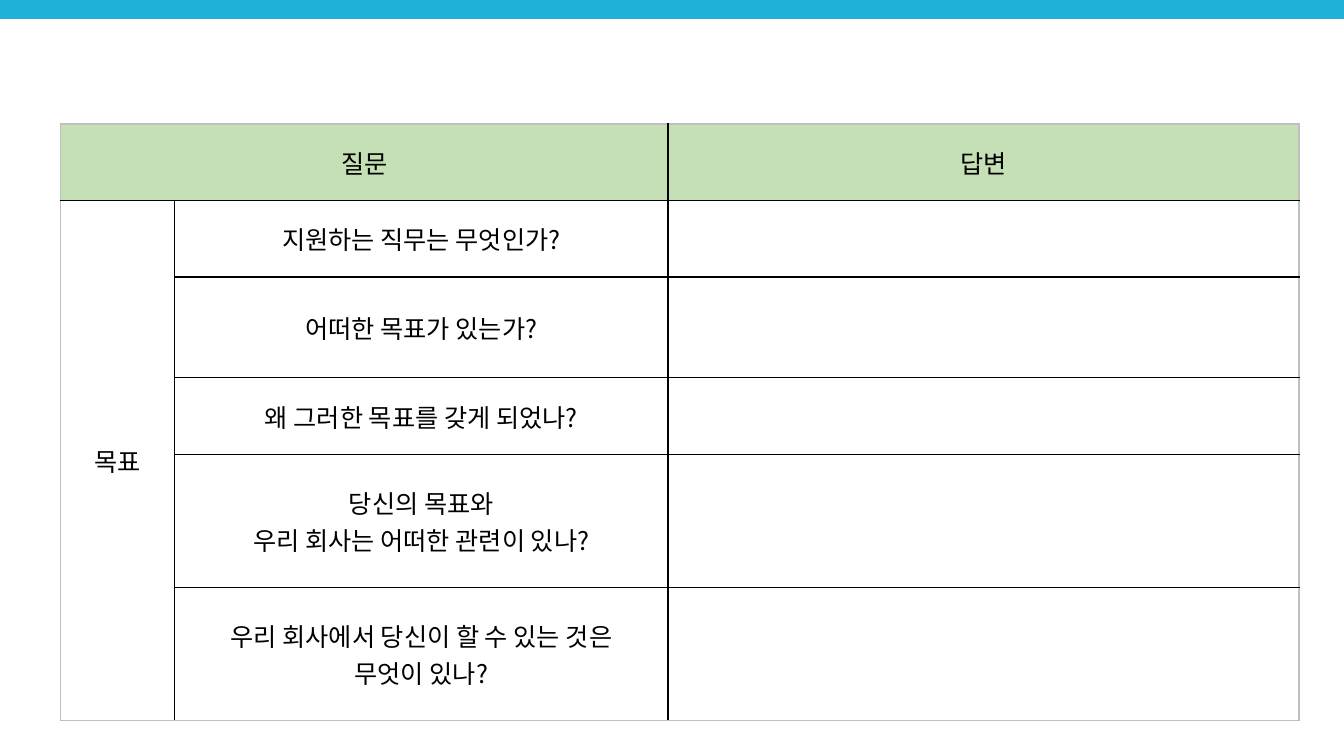
from lxml.etree import SubElement
from pptx import Presentation
from pptx.dml.color import RGBColor
from pptx.enum.shapes import MSO_SHAPE
from pptx.enum.text import MSO_ANCHOR, PP_ALIGN
from pptx.oxml.ns import qn
from pptx.util import Inches, Pt

NO_GRID_STYLE = "{2D5ABB26-0587-4C30-8999-92F81FD0307C}"
COLUMN_SHARES = [8.5, 36.7, 46.95]
ROW_SHARES = [10.13, 10.13, 13.33, 10.13, 17.6, 17.6]
HEADINGS = ["질문", None, "답변"]
QUESTIONS = [
    "지원하는 직무는 무엇인가?",
    "어떠한 목표가 있는가?",
    "왜 그러한 목표를 갖게 되었나?",
    "당신의 목표와\n우리 회사는 어떠한 관련이 있나?",
    "우리 회사에서 당신이 할 수 있는 것은\n무엇이 있나?",
]


def color(value):
    return RGBColor.from_string(value)


def write_text(frame, text, font="Noto Sans CJK KR", size=18, ink="000000"):
    frame.word_wrap = True
    for index, line in enumerate(text.split("\n")):
        paragraph = frame.paragraphs[0] if index == 0 else frame.add_paragraph()
        paragraph.alignment = PP_ALIGN.CENTER
        run = paragraph.add_run()
        run.text = line
        run.font.name = font
        run.font.size = Pt(size)
        run.font.bold = False
        run.font.color.rgb = color(ink)
        SubElement(run._r.get_or_add_rPr(), qn("a:ea"), typeface=font)


class SlideBuilder:
    accent = "21B0D8"
    header = "C5E0B4"
    inner_line = "000000"
    outer_line = "BFBFBF"

    def __init__(self, presentation):
        self.width = presentation.slide_width
        self.height = presentation.slide_height
        self.slide = presentation.slides.add_slide(presentation.slide_layouts[6])

    def across(self, percent):
        return round(self.width * percent / 100)

    def down(self, percent):
        return round(self.height * percent / 100)

    def bar(self, left, top, width, height):
        shape = self.slide.shapes.add_shape(
            MSO_SHAPE.RECTANGLE, self.across(left), self.down(top),
            self.across(width), self.down(height))
        shape.shadow.inherit = False
        shape.fill.solid()
        shape.fill.fore_color.rgb = color(self.accent)
        shape.line.fill.background()

    def table(self, left, top, columns, rows, texts, merges):
        frame = self.slide.shapes.add_table(
            len(rows), len(columns), self.across(left), self.down(top),
            self.across(sum(columns)), self.down(sum(rows)))
        table = frame.table
        table.first_row = table.horz_banding = False
        table._tbl.tblPr.find(qn("a:tableStyleId")).text = NO_GRID_STYLE
        for column, share in zip(table.columns, columns):
            column.width = self.across(share)
        for row, share in zip(table.rows, rows):
            row.height = self.down(share)
        for first_row, first_column, last_row, last_column in merges:
            table.cell(first_row, first_column).merge(table.cell(last_row, last_column))
        for row, row_texts in enumerate(texts):
            for column, text in enumerate(row_texts):
                area = next(
                    (merge for merge in merges
                     if merge[0] <= row <= merge[2] and merge[1] <= column <= merge[3]),
                    (row, column, row, column))
                cell = table.cell(row, column)
                self.borders(cell, area, len(rows) - 1, len(columns) - 1)
                self.cell(cell, text, self.header if row == 0 else None)

    def borders(self, cell, area, bottom_row, right_column):
        first_row, first_column, last_row, last_column = area
        outer_edges = {
            "L": first_column == 0,
            "R": last_column == right_column,
            "T": first_row == 0,
            "B": last_row == bottom_row,
        }
        properties = cell._tc.get_or_add_tcPr()
        for side, is_outer in outer_edges.items():
            line = SubElement(properties, qn(f"a:ln{side}"), w=str(Pt(1)))
            fill = SubElement(line, qn("a:solidFill"))
            SubElement(fill, qn("a:srgbClr"),
                       val=self.outer_line if is_outer else self.inner_line)

    def cell(self, cell, text, fill):
        cell.vertical_anchor = MSO_ANCHOR.MIDDLE
        cell.margin_left = cell.margin_right = Inches(0.1)
        cell.margin_top = cell.margin_bottom = Inches(0.05)
        if fill:
            cell.fill.solid()
            cell.fill.fore_color.rgb = color(fill)
        else:
            cell.fill.background()
        if text:
            write_text(cell.text_frame, text)


def main():
    presentation = Presentation()
    presentation.slide_width = Inches(13.33)
    presentation.slide_height = Inches(7.5)
    builder = SlideBuilder(presentation)
    builder.bar(0, 0, 100, 2.5)
    labels = ["목표"] + [None] * (len(QUESTIONS) - 1)
    texts = [HEADINGS] + [[label, question, None]
                          for label, question in zip(labels, QUESTIONS)]
    merges = [(0, 0, 0, 1), (1, 0, len(QUESTIONS), 0)]
    builder.table(4.5, 16.4, COLUMN_SHARES, ROW_SHARES, texts, merges)
    presentation.save("out.pptx")


if __name__ == "__main__":
    main()
